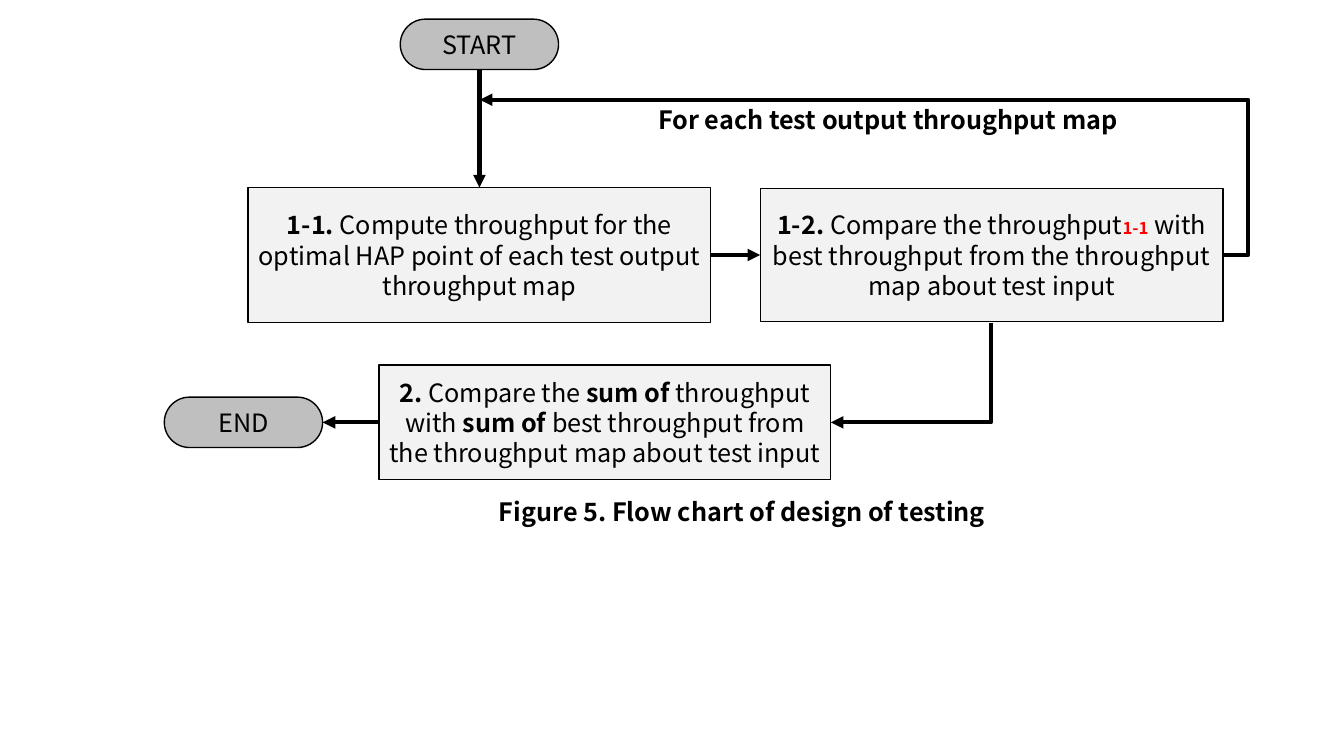
from dataclasses import dataclass

from lxml import etree
from pptx import Presentation
from pptx.dml.color import RGBColor
from pptx.enum import shapes, text
from pptx.oxml import ns
from pptx.util import Inches, Pt


@dataclass(frozen=True)
class Theme:
    font: str = "Noto Sans CJK KR"
    ink: RGBColor = RGBColor(0x00, 0x00, 0x00)
    accent: RGBColor = RGBColor(0xFF, 0x00, 0x00)
    terminal: RGBColor = RGBColor(0xBF, 0xBF, 0xBF)
    step: RGBColor = RGBColor(0xF2, 0xF2, 0xF2)
    body: Pt = Pt(18)
    subscript: Pt = Pt(12)
    outline: Pt = Pt(1)
    arrow: Pt = Pt(3)


theme = Theme()
BOLD = {"bold": True}
PLAIN = {"bold": False}
MARK = {"bold": True, "size": theme.subscript, "color": theme.accent}


def write(box, spans):
    para = box.text_frame.paragraphs[0]
    for words, look in spans:
        span = para.add_run()
        span.text = words
        look = {"name": theme.font, "size": theme.body, "color": theme.ink, **look}
        span.font.color.rgb = look.pop("color")
        for key, value in look.items():
            setattr(span.font, key, value)


def add_arrow(kind, start, end):
    arrow = page.shapes.add_connector(kind, *map(Inches, start + end))
    arrow.line.color.rgb = theme.ink
    arrow.line.width = theme.arrow
    line = arrow.line._get_or_add_ln()
    etree.SubElement(line, ns.qn("a:tailEnd"), type="triangle")
    etree.SubElement(arrow._element.spPr, ns.qn("a:effectLst"))
    return arrow


deck = Presentation()
deck.slide_width, deck.slide_height = Inches(13.33), Inches(7.5)
page = deck.slides.add_slide(deck.slide_layouts[6])

# Terminals and steps
nodes = {
    "start": ((3.97, 0.19, 1.57, 0.5), [("START", PLAIN)]),
    "compute": ((2.46, 1.86, 4.59, 1.34), [
        ("1-1. ", BOLD),
        ("Compute throughput for the optimal HAP point of each test output "
         "throughput map", PLAIN)]),
    "compare": ((7.54, 1.87, 4.59, 1.32), [
        ("1-2. ", BOLD), ("Compare the throughput", PLAIN), ("1-1", MARK),
        (" with best throughput from the throughput map about test input", PLAIN)]),
    "sum": ((3.76, 3.62, 4.48, 1.14), [
        ("2. ", BOLD), ("Compare the ", PLAIN), ("sum of ", BOLD),
        ("throughput with ", PLAIN), ("sum of ", BOLD),
        ("best throughput from the throughput map about test input", PLAIN)]),
    "end": ((1.63, 3.94, 1.57, 0.5), [("END", PLAIN)]),
}
boxes = {}
for name, (place, spans) in nodes.items():
    terminal = name in ("start", "end")
    preset = shapes.MSO_SHAPE.ROUNDED_RECTANGLE if terminal else shapes.MSO_SHAPE.RECTANGLE
    box = page.shapes.add_shape(preset, *map(Inches, place))
    if terminal:
        box.adjustments[0] = 0.5
    box.shadow.inherit = False
    box.fill.solid()
    box.fill.fore_color.rgb = theme.terminal if terminal else theme.step
    box.line.color.rgb = theme.ink
    box.line.width = theme.outline
    box.text_frame.word_wrap = True
    box.text_frame.vertical_anchor = text.MSO_ANCHOR.MIDDLE
    box.text_frame.paragraphs[0].alignment = text.PP_ALIGN.CENTER
    write(box, spans)
    boxes[name] = box

# Straight arrows between neighbouring nodes
straight = [
    ("start", 2, "compute", 0, (4.76, 0.69), (4.76, 1.86)),
    ("compute", 3, "compare", 1, (7.05, 2.53), (7.54, 2.53)),
    ("sum", 1, "end", 3, (3.76, 4.19), (3.2, 4.19)),
]
for source, source_side, target, target_side, start, end in straight:
    arrow = add_arrow(shapes.MSO_CONNECTOR.STRAIGHT, start, end)
    arrow.begin_connect(boxes[source], source_side)
    arrow.end_connect(boxes[target], target_side)

# Loop back above step 1-2, bulging out to the right
loop = add_arrow(shapes.MSO_CONNECTOR.ELBOW, (12.13, 2.53), (4.76, 0.99))
guides = loop._element.spPr.prstGeom.get_or_add_avLst()
etree.SubElement(guides, ns.qn("a:gd"), name="adj1", fmla="val -3400")

# Single bend from step 1-2 down to step 2, turned a quarter clockwise
bend = add_arrow(shapes.MSO_CONNECTOR.ELBOW, (8.54, 2.9), (9.53, 4.49))
bend._element.spPr.prstGeom.set("prst", "bentConnector2")
bend._element.spPr.xfrm.set("rot", str(90 * 60000))

labels = [
    ((6.43, 0.99, 4.76, 0.4), "For each test output throughput map"),
    ((4.85, 4.87, 5.09, 0.4), "Figure 5. Flow chart of design of testing"),
]
for place, words in labels:
    label = page.shapes.add_textbox(*map(Inches, place))
    label.text_frame.word_wrap = False
    label.text_frame.auto_size = text.MSO_AUTO_SIZE.SHAPE_TO_FIT_TEXT
    write(label, [(words, BOLD)])

deck.save("out.pptx")
